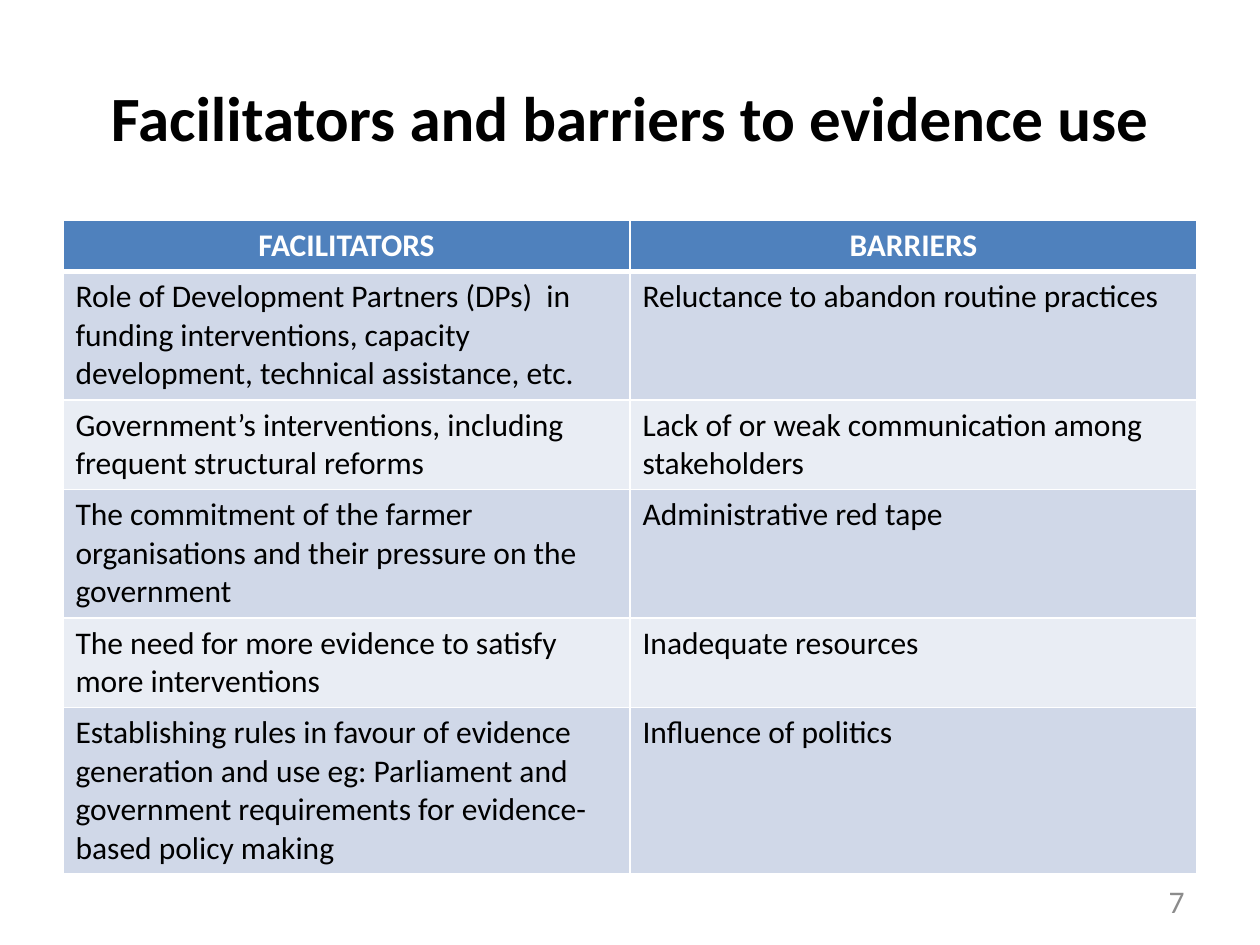
from dataclasses import dataclass

from lxml.etree import SubElement
from pptx import Presentation
from pptx.dml.color import RGBColor
from pptx.enum.text import MSO_ANCHOR, PP_ALIGN
from pptx.oxml.ns import qn
from pptx.util import Inches, Pt

COLORS = {
    "black": "000000",
    "white": "FFFFFF",
    "header": "4F81BD",
    "dark_band": "D0D8E8",
    "light_band": "E9EDF4",
    "page_number": "8C8C8C",
}
FONT = "Calibri"


@dataclass
class Row:
    height: float
    facilitator: str
    barrier: str


ROWS = [
    Row(0.4, "FACILITATORS", "BARRIERS"),
    Row(1.02, "Role of Development Partners (DPs)  in  funding interventions, "
        "capacity development, technical assistance, etc.",
        "Reluctance to abandon routine practices"),
    Row(0.71, "Government’s interventions, including frequent structural reforms",
        "Lack of or weak communication among stakeholders"),
    Row(1.02, "The commitment of the farmer organisations and their pressure "
        "on the government", "Administrative red tape"),
    Row(0.71, "The need for more evidence to satisfy more interventions",
        "Inadequate resources"),
    Row(1.31, "Establishing rules in favour of evidence generation and use eg: "
        "Parliament and government requirements for evidence-based policy making",
        "Influence of politics"),
]


def write(frame, text: str, size: int, color: str, align, bold: bool = False) -> None:
    para = frame.paragraphs[0]
    para.alignment = align
    span = para.add_run()
    span.text = text
    span.font.name = FONT
    span.font.size = Pt(size)
    span.font.bold = bold
    span.font.color.rgb = RGBColor.from_string(COLORS[color])


def add_borders(cell, top: int, bottom: int) -> None:
    properties = cell._tc.get_or_add_tcPr()
    for side, width in (("L", 1), ("R", 1), ("T", top), ("B", bottom)):
        line = SubElement(properties, qn(f"a:ln{side}"), w=str(Pt(width)))
        fill = SubElement(line, qn("a:solidFill"))
        SubElement(fill, qn("a:srgbClr"), val=COLORS["white"])


def fill_cell(cell, text: str, row_index: int) -> None:
    is_header = row_index == 0
    add_borders(cell, top=3 if row_index == 1 else 1, bottom=3 if is_header else 1)
    band = "header" if is_header else ("light_band", "dark_band")[row_index % 2]
    cell.fill.solid()
    cell.fill.fore_color.rgb = RGBColor.from_string(COLORS[band])
    write(cell.text_frame, text, 18, "white" if is_header else "black",
          PP_ALIGN.CENTER if is_header else PP_ALIGN.LEFT, is_header)


def add_comparison(page, rows: list[Row]) -> None:
    height = sum(row.height for row in rows)
    table = page.shapes.add_table(len(rows), 2, Inches(0.5), Inches(1.75),
                                  Inches(9), Inches(height)).table
    for index, row in enumerate(rows):
        table.rows[index].height = Inches(row.height)
        for column, text in enumerate((row.facilitator, row.barrier)):
            fill_cell(table.cell(index, column), text, index)


def main() -> None:
    deck = Presentation()
    deck.slide_width, deck.slide_height = Inches(10), Inches(7.5)
    page = deck.slides.add_slide(deck.slide_layouts[5])

    # Title
    title = page.shapes.title
    title.left, title.top = Inches(0.5), Inches(0.3)
    title.width, title.height = Inches(9), Inches(1.25)
    title.text_frame.vertical_anchor = MSO_ANCHOR.MIDDLE
    write(title.text_frame, "Facilitators and barriers to evidence use", 36,
          "black", PP_ALIGN.CENTER, bold=True)

    # Two-column comparison
    add_comparison(page, ROWS)

    # Page number
    box = page.shapes.add_textbox(Inches(7.17), Inches(6.95), Inches(2.33), Inches(0.4))
    box.text_frame.word_wrap = True
    box.text_frame.vertical_anchor = MSO_ANCHOR.MIDDLE
    write(box.text_frame, "7", 18, "page_number", PP_ALIGN.RIGHT)

    deck.save("out.pptx")


if __name__ == "__main__":
    main()
